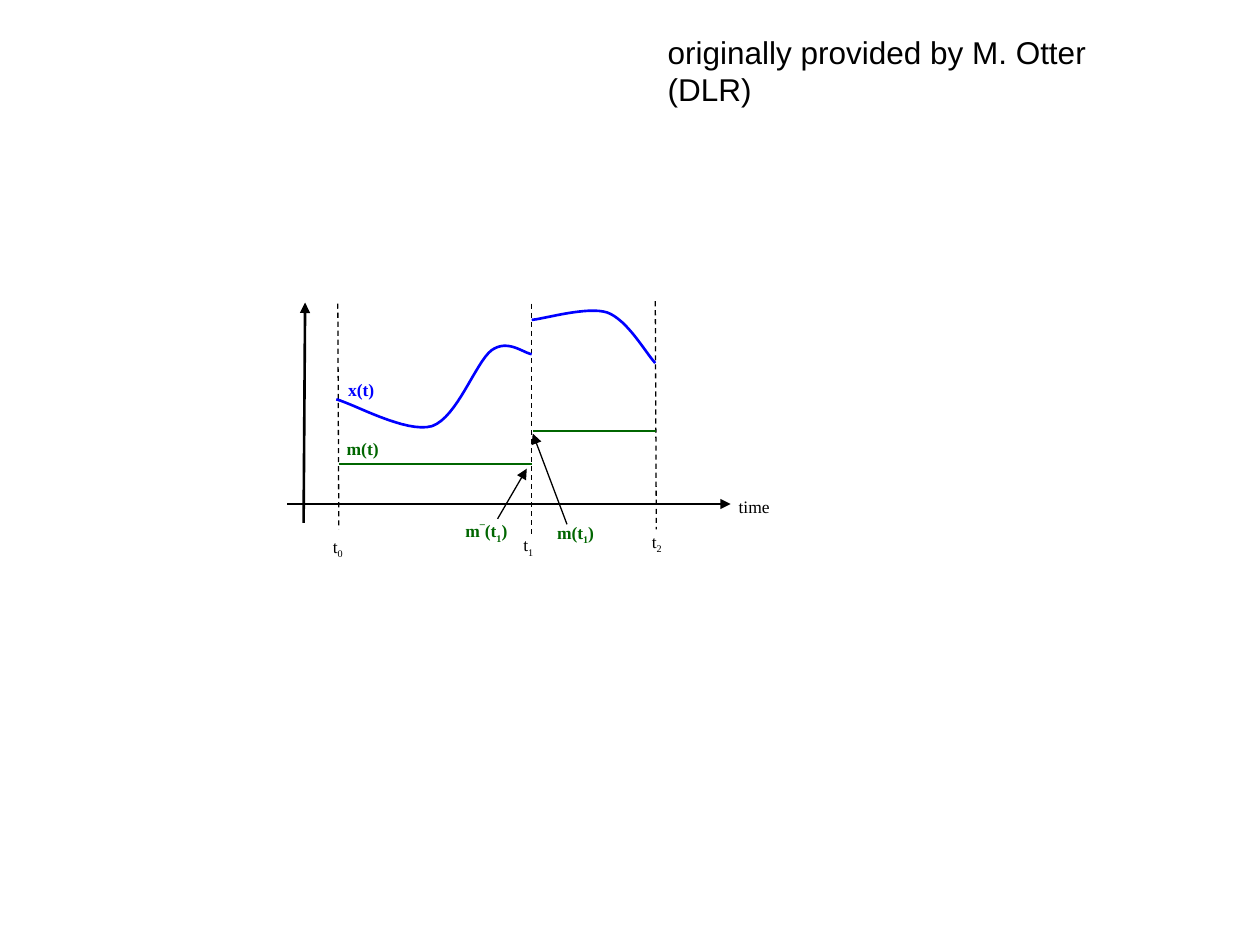
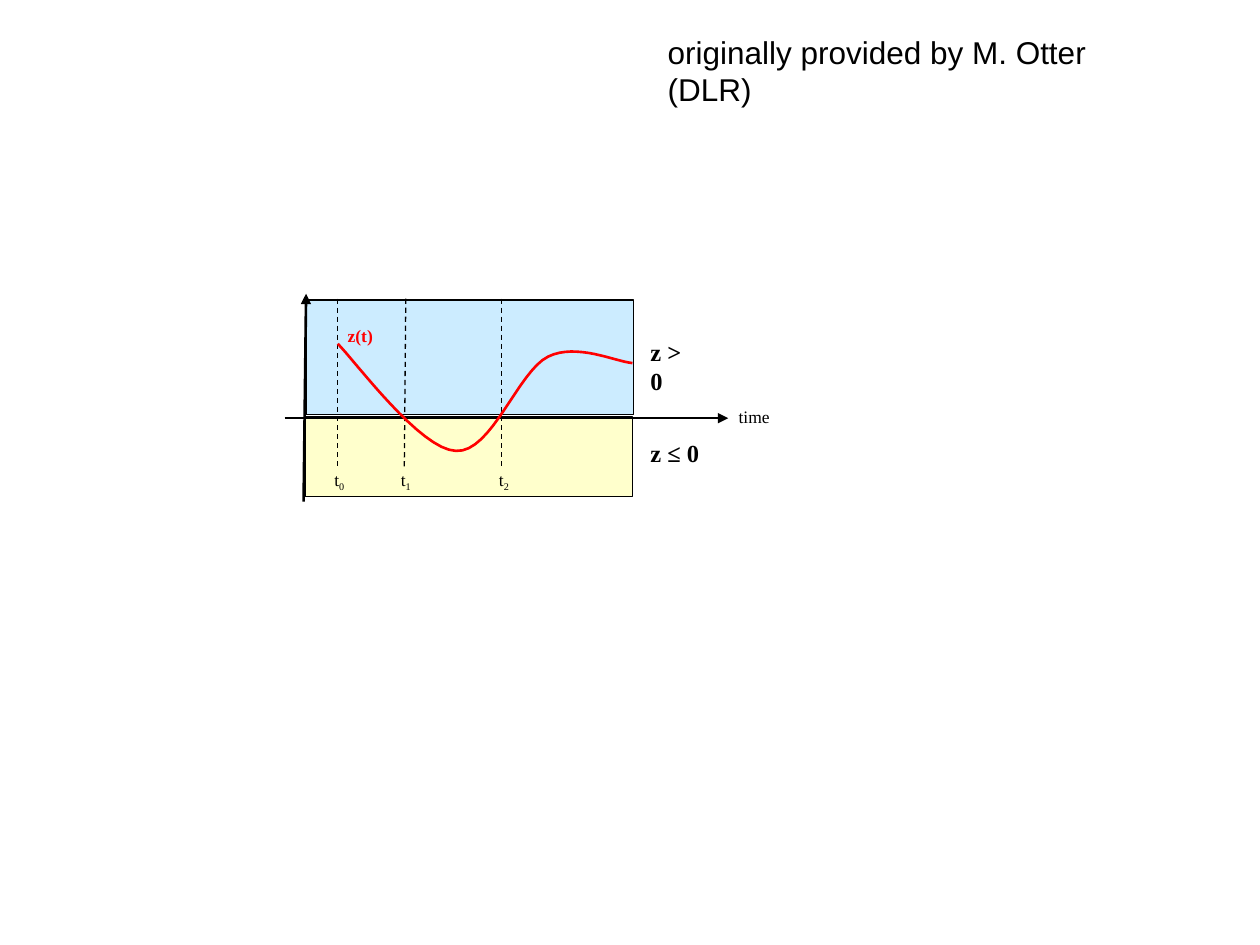
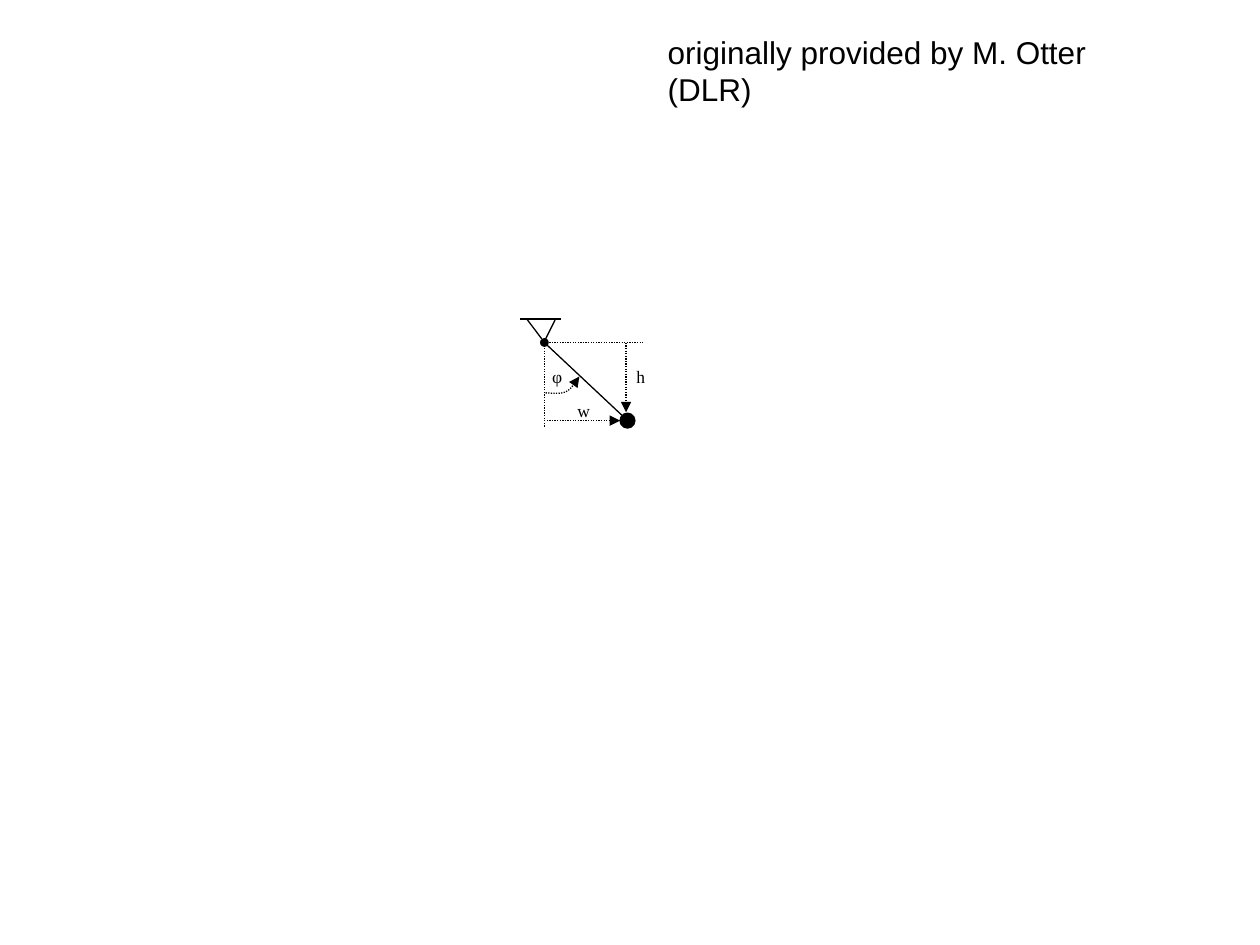
import pptx
import pptx.dml.color
import pptx.enum.dml
import pptx.enum.shapes
import pptx.enum.text
import pptx.oxml
import pptx.oxml.ns
import pptx.util
from pptx.util import Cm

RGBColor = pptx.dml.color.RGBColor
BLACK = RGBColor(0x00, 0x00, 0x00)
BLUE = RGBColor(0x00, 0x00, 0xFF)
GREEN = RGBColor(0x00, 0x66, 0x00)
RED = RGBColor(0xFF, 0x00, 0x00)
PALE_BLUE = RGBColor(0xCC, 0xEC, 0xFF)
PALE_YELLOW = RGBColor(0xFF, 0xFF, 0xCC)

DASH = pptx.enum.dml.MSO_LINE.DASH
DOT = pptx.enum.dml.MSO_LINE.ROUND_DOT
RECTANGLE = pptx.enum.shapes.MSO_SHAPE.RECTANGLE
OVAL = pptx.enum.shapes.MSO_SHAPE.OVAL

THIN, THICK = 0.75, 1.5
SUBSCRIPT, SUPERSCRIPT = -25, 30
CURVE_STEPS = 16


def add_run(paragraph, text, *, font="Times New Roman", size=10, color=BLACK,
            bold=False, baseline=0):
    run = paragraph.add_run()
    run.text = text
    run.font.name = font
    run.font.size = pptx.util.Pt(size)
    run.font.color.rgb = color
    run.font.bold = bold
    if baseline:
        run.font._element.set("baseline", str(baseline * 1000))


def bezier_point(start, control_1, control_2, end, t):
    """Point at parameter t on a cubic curve."""
    u = 1 - t
    return tuple(u**3 * a + 3 * u * u * t * b + 3 * u * t * t * c + t**3 * d
                 for a, b, c, d in zip(start, control_1, control_2, end))


class Sketch:
    """Diagram style together with the slide being drawn; lengths in cm."""

    def __init__(self, presentation):
        self.presentation = presentation
        self.slide = None

    def new_slide(self):
        blank_layout = self.presentation.slide_layouts[6]
        self.slide = self.presentation.slides.add_slide(blank_layout)

    def credit(self):
        self.text(13.21, 0.53, 10.8, 1.02, "originally provided by M. Otter (DLR)",
                  margins=(0.25, 0.13), grow=True, font="Arial", size=18)

    def text(self, left, top, width, height, pieces, margins=(0.03, 0.03),
             grow=False, **style):
        """Text box; pieces is a string or a list of (text, baseline)."""
        box = self.slide.shapes.add_textbox(Cm(left), Cm(top), Cm(width), Cm(height))
        frame = box.text_frame
        frame.word_wrap = False
        sizing = pptx.enum.text.MSO_AUTO_SIZE
        frame.auto_size = sizing.SHAPE_TO_FIT_TEXT if grow else sizing.NONE
        frame.margin_left = frame.margin_right = Cm(margins[0])
        frame.margin_top = frame.margin_bottom = Cm(margins[1])
        if isinstance(pieces, str):
            pieces = [(pieces, 0)]
        for text, baseline in pieces:
            add_run(frame.paragraphs[0], text, baseline=baseline, **style)

    def instant(self, left, top, index):
        self.text(left, top, 0.3, 0.44, [("t", 0), (str(index), SUBSCRIPT)])

    def stroke(self, line, color, weight, dash=None, arrow=False):
        line.color.rgb = color
        line.width = pptx.util.Pt(weight)
        if dash is not None:
            line.dash_style = dash
        if arrow:
            tail = pptx.oxml.parse_xml(
                f'<a:tailEnd {pptx.oxml.ns.nsdecls("a")} type="triangle"/>')
            line._get_or_add_ln().append(tail)

    def line(self, start, end, color=BLACK, weight=THIN, dash=None, arrow=False):
        connector = self.slide.shapes.add_connector(
            pptx.enum.shapes.MSO_CONNECTOR.STRAIGHT,
            Cm(start[0]), Cm(start[1]), Cm(end[0]), Cm(end[1]))
        self.stroke(connector.line, color, weight, dash, arrow)
        no_effect = f'<a:effectLst {pptx.oxml.ns.nsdecls("a")}/>'
        connector._element.spPr.append(pptx.oxml.parse_xml(no_effect))

    def curve(self, points, color=BLACK, weight=THICK, dash=None, arrow=False):
        """Chain of cubic curves: a start, then two controls and an end each."""
        outline = [bezier_point(*points[first:first + 4], step / CURVE_STEPS)
                   for first in range(0, len(points) - 1, 3)
                   for step in range(1, CURVE_STEPS + 1)]
        builder = self.slide.shapes.build_freeform(Cm(points[0][0]), Cm(points[0][1]))
        builder.add_line_segments([(Cm(x), Cm(y)) for x, y in outline], close=False)
        shape = builder.convert_to_shape()
        shape.shadow.inherit = False
        shape.fill.background()
        self.stroke(shape.line, color, weight, dash, arrow)

    def solid(self, kind, left, top, width, height, fill):
        shape = self.slide.shapes.add_shape(
            kind, Cm(left), Cm(top), Cm(width), Cm(height))
        shape.shadow.inherit = False
        shape.fill.solid()
        shape.fill.fore_color.rgb = fill
        self.stroke(shape.line, BLACK, THIN)

    def axes(self, time_start, time_end, value_start, value_end, label_top):
        for start, end in ((time_start, time_end), (value_start, value_end)):
            self.line(start, end, weight=THICK, arrow=True)
        self.text(14.86, label_top, 0.74, 0.46, "time")


def draw_discontinuous_signals(sketch):
    sketch.new_slide()
    sketch.axes((5.79, 10.16), (14.73, 10.16), (6.12, 10.54), (6.15, 6.1), 9.96)

    # Time instants
    for start, end in (((6.81, 6.12), (6.83, 10.67)),
                       ((10.72, 6.12), (10.72, 10.77)),
                       ((13.21, 6.07), (13.23, 10.67))):
        sketch.line(start, end, dash=DASH)
    for index, (left, top) in enumerate(((6.68, 10.77), (10.52, 10.74), (13.11, 10.67))):
        sketch.instant(left, top, index)

    # Continuous state x(t)
    sketch.curve([(6.78, 8.05), (7.11, 8.13), (8.18, 8.74), (8.71, 8.59),
                  (9.22, 8.41), (9.58, 7.32), (9.91, 7.06),
                  (10.24, 6.83), (10.54, 7.11), (10.72, 7.14)], BLUE)
    sketch.curve([(10.72, 6.45), (10.97, 6.43), (11.84, 6.17), (12.24, 6.3),
                  (12.65, 6.45), (13, 7.09), (13.21, 7.32)], BLUE)
    sketch.text(6.99, 7.62, 0.64, 0.51, "x(t)", color=BLUE, bold=True)

    # Discrete state m(t) and its two values at t1
    sketch.line((6.83, 9.35), (10.72, 9.35), GREEN, THICK)
    sketch.line((10.74, 8.69), (13.23, 8.69), GREEN, THICK)
    sketch.text(6.99, 8.81, 0.69, 0.51, "m(t)", margins=(0, 0.03),
                color=GREEN, bold=True)
    sketch.line((10.03, 10.46), (10.62, 9.45), arrow=True)
    sketch.text(9.35, 10.46, 0.99, 0.53,
                [("m", 0), ("¯", SUPERSCRIPT), ("(t", 0), ("1", SUBSCRIPT), (")", 0)],
                color=GREEN, bold=True)
    sketch.line((11.43, 10.57), (10.74, 8.74), arrow=True)
    sketch.text(11.2, 10.49, 0.86, 0.56, [("m(t", 0), ("1", SUBSCRIPT), (")", 0)],
                color=GREEN, bold=True)
    sketch.credit()


def draw_zero_crossings(sketch):
    sketch.new_slide()

    # Regions on both sides of zero
    sketch.solid(RECTANGLE, 6.15, 8.41, 6.6, 1.6, PALE_YELLOW)
    sketch.solid(RECTANGLE, 6.17, 6.05, 6.6, 2.31, PALE_BLUE)
    sketch.axes((5.74, 8.43), (14.68, 8.43), (6.12, 10.11), (6.17, 5.92), 8.15)

    # Time instants
    for index, (top_x, bottom_x, label_left) in enumerate(
            ((6.81, 6.81, 6.71), (8.18, 8.15, 8.05), (10.11, 10.11, 10.03))):
        sketch.line((top_x, 6.02), (bottom_x, 9.45), dash=DASH)
        sketch.instant(label_left, 9.42, index)

    # Crossing function z(t)
    sketch.curve([(6.81, 6.93), (7.19, 7.32), (8.48, 9.07), (9.19, 9.09),
                  (9.91, 9.14), (10.44, 7.49), (11.05, 7.19),
                  (11.63, 6.91), (12.4, 7.29), (12.75, 7.32)], RED)
    sketch.text(7.01, 6.53, 0.69, 0.51, "z(t)", margins=(0, 0.03),
                color=RED, bold=True)
    for top, condition in ((6.76, "z > 0"), (8.81, "z ≤ 0")):
        sketch.text(13.11, top, 0.99, 0.66, condition, margins=(0, 0.03),
                    grow=True, size=14, bold=True)
    sketch.credit()


def draw_pendulum(sketch):
    sketch.new_slide()

    # Bob, rod, pivot and support
    sketch.solid(OVAL, 12.5, 8.33, 0.3, 0.3, BLACK)
    sketch.solid(OVAL, 10.9, 6.83, 0.15, 0.15, BLACK)
    for start, end in (((11, 6.93), (12.6, 8.43)),
                       ((10.49, 6.43), (11.3, 6.43)),
                       ((10.92, 6.83), (10.62, 6.43)),
                       ((11, 6.83), (11.2, 6.43))):
        sketch.line(start, end)

    # Reference lines and dimensions
    pivot = (10.97, 6.91)
    sketch.line(pivot, (10.97, 8.61), dash=DOT)
    sketch.line(pivot, (12.98, 6.91), dash=DOT)
    sketch.curve([(11, 7.92), (11.07, 7.92), (11.3, 7.95), (11.4, 7.9),
                  (11.53, 7.85), (11.61, 7.67), (11.68, 7.59)],
                 weight=THIN, dash=DOT, arrow=True)
    sketch.line((10.97, 8.48), (12.5, 8.48), dash=DOT, arrow=True)
    sketch.line((12.62, 6.91), (12.62, 8.31), dash=DOT, arrow=True)
    for left, top, symbol in ((11.61, 8.03, "w"), (12.8, 7.34, "h"), (11.1, 7.34, "φ")):
        sketch.text(left, top, 0.3, 0.41, symbol)
    sketch.credit()


def main():
    presentation = pptx.Presentation()
    presentation.slide_width = Cm(25.4)
    presentation.slide_height = Cm(19.05)
    sketch = Sketch(presentation)
    draw_discontinuous_signals(sketch)
    draw_zero_crossings(sketch)
    draw_pendulum(sketch)
    presentation.save("out.pptx")


if __name__ == "__main__":
    main()
